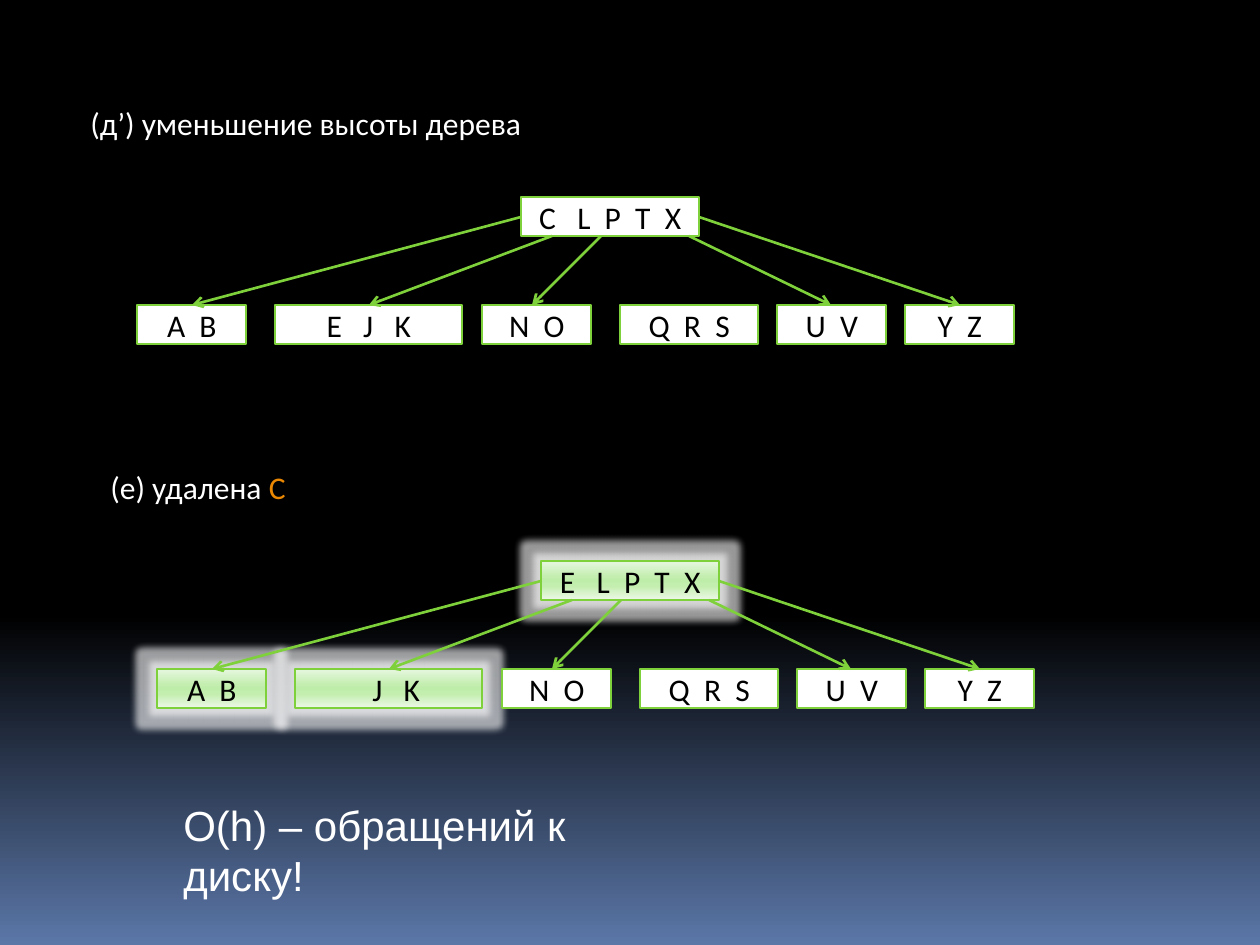
"""Build a slide with two B-tree states around the deletion of key C."""
from lxml import etree
from pptx import Presentation, util as u
from pptx.dml import color
from pptx.enum import shapes, text
from pptx.oxml import ns

SCALE = 914400 / 126
GREEN = "7FD13B"
BACKDROP = [(0, "000000"), (65, "000000"), (100, "5B77A8")]
HIGHLIGHT = [(0, "E6F7E0"), (40, "C4EEB0"), (50, "BEEDA9"), (65, "C4EEB0"), (100, "ECF8E6")]
CENTRED = {"word_wrap": True, "vertical_anchor": text.MSO_ANCHOR.MIDDLE}
CAPTION = {"word_wrap": False, "auto_size": text.MSO_AUTO_SIZE.SHAPE_TO_FIT_TEXT}

NODES = [(521, 197, 178), (137, 305, 109), (275, 305, 187), (482, 305, 109),
         (620, 305, 138), (777, 305, 109), (905, 305, 109)]
NODE_HEIGHT = 39
ARROWS = [(521, 217, 192), (552, 236, 369), (601, 236, 532), (689, 236, 831), (699, 217, 960)]
ARROW_END = 305
SHARED_LEAVES = ["N  O", "Q  R  S", "U  V", "Y  Z"]
TREES = [
    {"shift": (0, 0), "caption": [("(д’) уменьшение высоты дерева", "FFFFFF")], "width": 501,
     "keys": ["C   L  P  T  X", "A  B", "E   J   K"], "changed": 0},
    {"shift": (20, 364), "caption": [("(е) удалена ", "FFFFFF"), ("C", "EB8803")], "width": 202,
     "keys": ["E   L  P  T  X", "A  B", "J   K"], "changed": 3},
]
INSETS = {"J   K": 28}


def px(*lengths):
    return [u.Emu(round(length * SCALE)) for length in lengths]


def rgb(value):
    return color.RGBColor.from_string(value)


deck = Presentation()
deck.slide_width, deck.slide_height = px(1260, 945)
page = deck.slides.add_slide(deck.slide_layouts[6])
page.background.fill.gradient()
page.background.fill.gradient_angle = 270
gradients = [(page, BACKDROP)]
captions = []

for tree in TREES:
    dx, dy = tree["shift"]
    group = page.shapes.add_group_shape()
    for index, (keys, (left, top, width)) in enumerate(zip(tree["keys"] + SHARED_LEAVES, NODES)):
        box = group.shapes.add_shape(
            shapes.MSO_SHAPE.RECTANGLE, *px(left + dx, top + dy, width, NODE_HEIGHT))
        box.shadow.inherit = False
        box.line.color.rgb = rgb(GREEN)
        if index < tree["changed"]:
            box.line.width = u.Pt(0.94)
            box.fill.gradient()
            box.fill.gradient_angle = 270
            gradients.append((box, HIGHLIGHT))
            effects = box.element.spPr.find(ns.qn("a:effectLst"))
            glow = etree.SubElement(effects, ns.qn("a:glow"), rad="101600")
            tint = etree.SubElement(glow, ns.qn("a:srgbClr"), val="FFFFFF")
            etree.SubElement(tint, ns.qn("a:alpha"), val="60000")
        else:
            box.line.width = u.Pt(1.5)
            box.fill.solid()
            box.fill.fore_color.rgb = rgb("FFFFFF")
        for name, value in CENTRED.items():
            setattr(box.text_frame, name, value)
        box.text_frame.margin_left = px(INSETS.get(keys, 13))[0]
        para = box.text_frame.paragraphs[0]
        para.alignment = text.PP_ALIGN.CENTER
        span = para.add_run()
        span.text = keys
        for name, value in {"name": "Calibri", "size": u.Pt(18)}.items():
            setattr(span.font, name, value)
        span.font.color.rgb = rgb("000000")

    for left, top, end in ARROWS:
        arrow = group.shapes.add_connector(
            shapes.MSO_CONNECTOR.STRAIGHT, *px(left + dx, top + dy, end + dx, ARROW_END + dy))
        arrow.line.color.rgb = rgb(GREEN)
        arrow.line.width = u.Pt(1.5)
        etree.SubElement(arrow.line._get_or_add_ln(), ns.qn("a:tailEnd"), type="arrow")
        etree.SubElement(arrow.element.spPr, ns.qn("a:effectLst"))
    captions.append((group, (78 + dx, 98 + dy, tree["width"], 50), tree["caption"], "Calibri", 18))

captions.append((page, (171, 793, 539, 63), [("O(h) – обращений к диску!", "FFFFFF")], "Arial", 24))
for parent, place, spans, face, size in captions:
    box = parent.shapes.add_textbox(*px(*place))
    for name, value in CAPTION.items():
        setattr(box.text_frame, name, value)
    for words, shade in spans:
        span = box.text_frame.paragraphs[0].add_run()
        span.text = words
        for name, value in {"name": face, "size": u.Pt(size)}.items():
            setattr(span.font, name, value)
        span.font.color.rgb = rgb(shade)

for owner, stops in gradients:
    stop_list = owner.element.xpath(".//a:gsLst")[0]
    for stop in list(stop_list):
        stop_list.remove(stop)
    for position, shade in stops:
        stop = etree.SubElement(stop_list, ns.qn("a:gs"), pos=str(position * 1000))
        etree.SubElement(stop, ns.qn("a:srgbClr"), val=shade)

# The page's own gradient is its first one, so each owner resolves to its own list.
deck.save("out.pptx")
